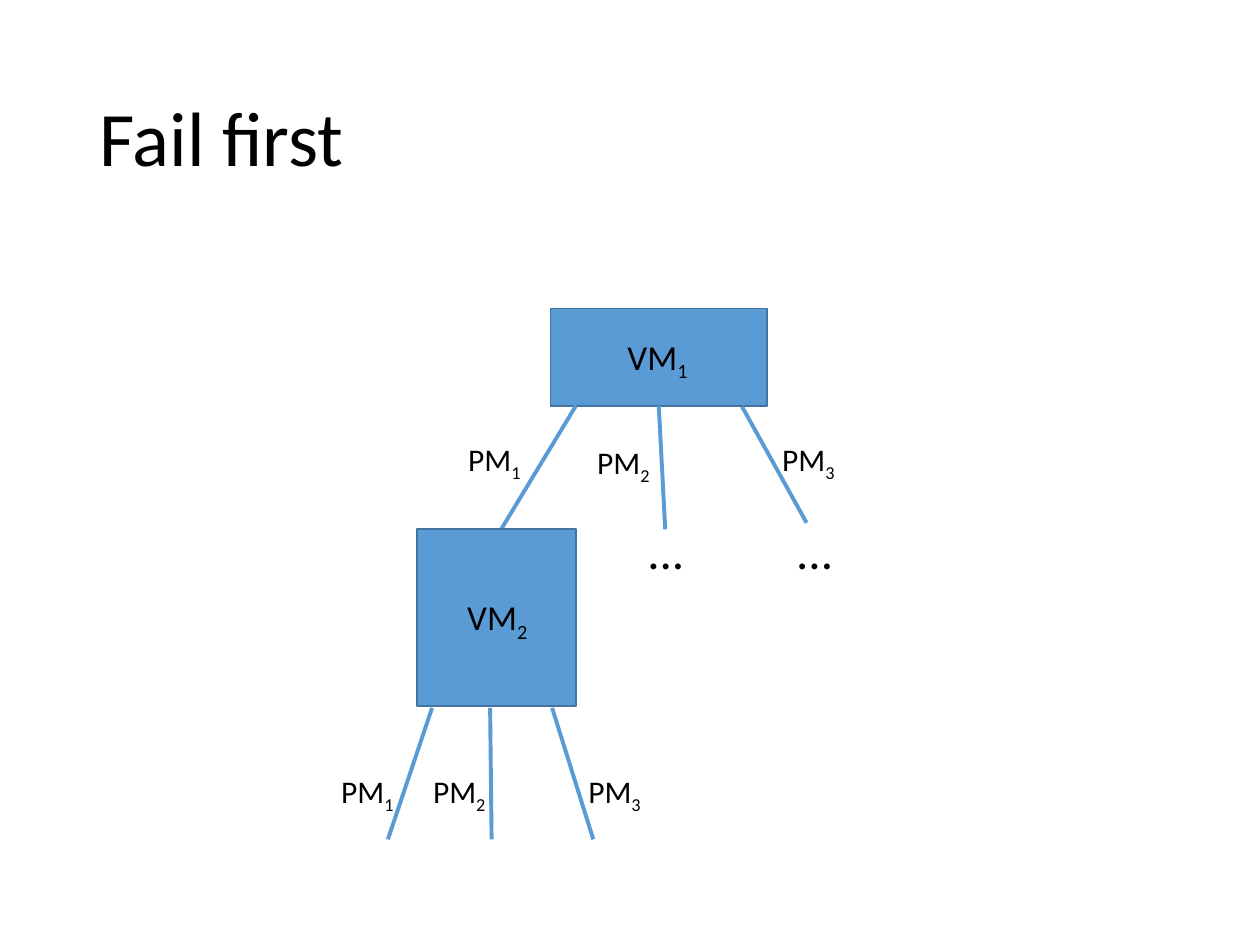
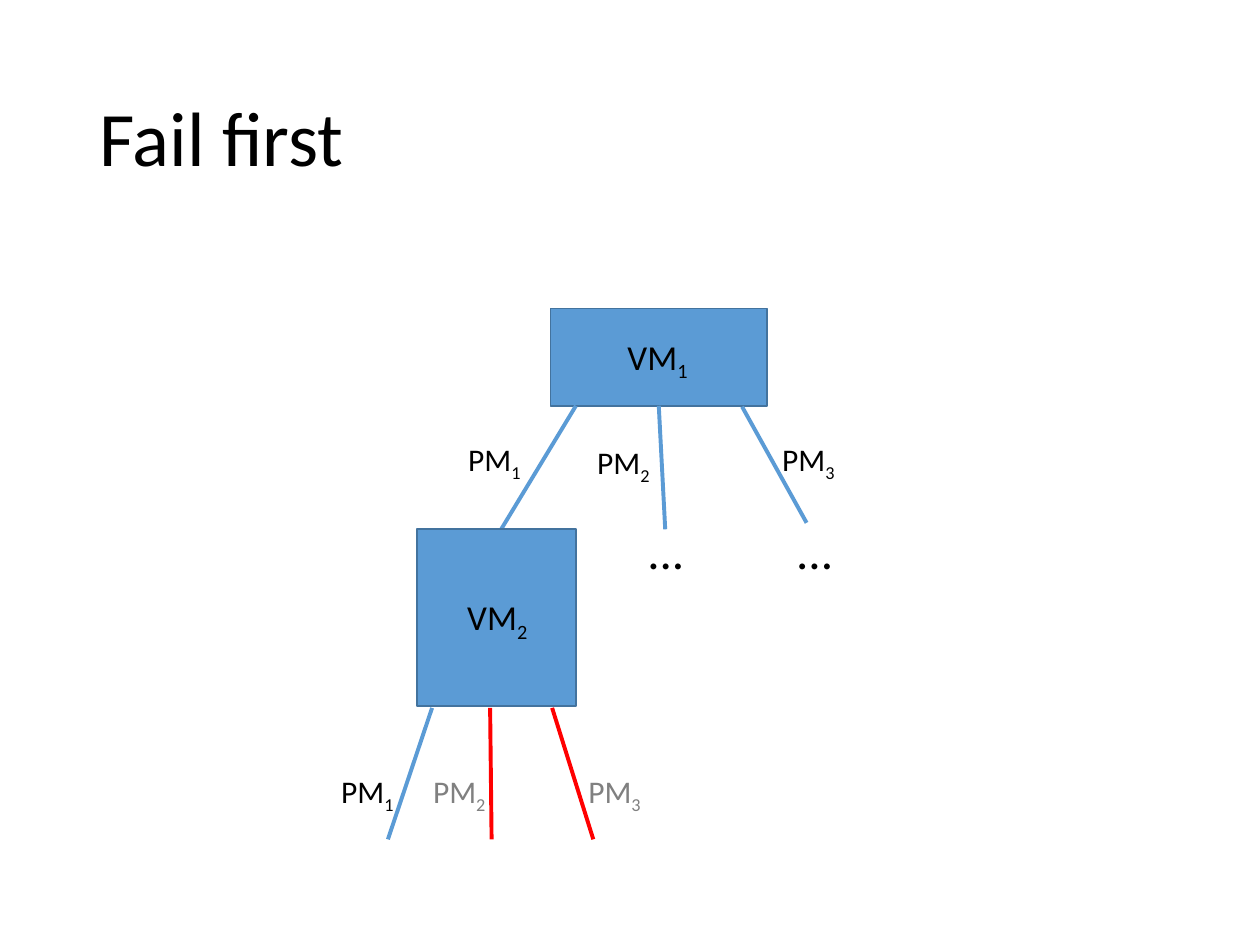
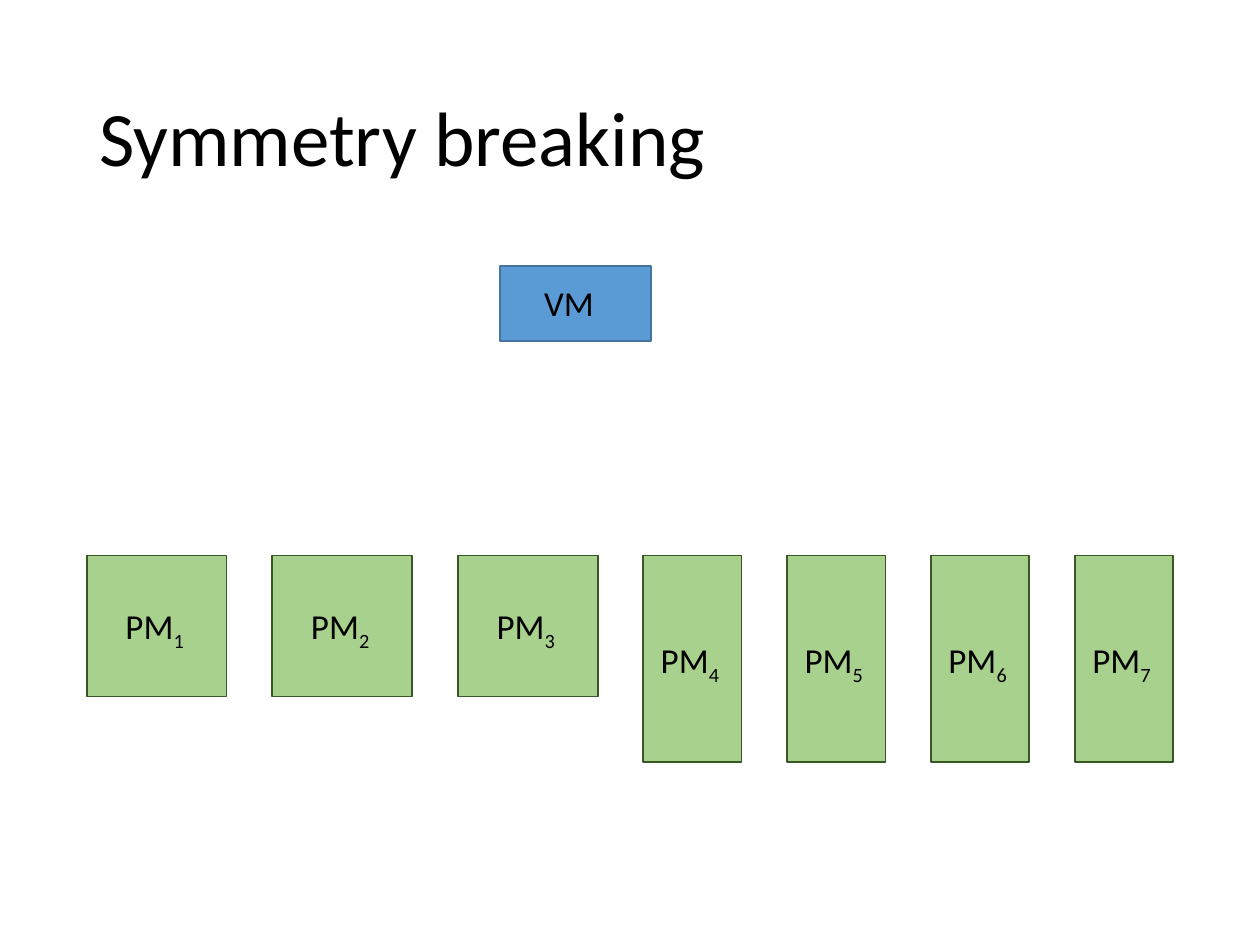
from dataclasses import dataclass

from pptx import Presentation
from pptx.dml.color import RGBColor
from pptx.enum.shapes import MSO_CONNECTOR, MSO_SHAPE
from pptx.enum.text import MSO_ANCHOR, MSO_AUTO_SIZE
from pptx.oxml.ns import qn
from pptx.slide import Slide
from pptx.util import Cm, Pt
from lxml.etree import SubElement


# Shared look
@dataclass(frozen=True)
class Theme:
    font: str = "Calibri"
    ink: str = "000000"
    mute: str = "808080"
    blue: str = "5B9BD5"
    navy: str = "43739E"
    green: str = "A9D18E"
    pine: str = "385723"
    red: str = "FF0000"
    title: int = 44
    dots: int = 28
    node: int = 20
    edge: int = 18
    rim: float = 1
    stroke: float = 2.25


THEME = Theme()


# Repeated elements, lengths in centimetres
@dataclass(frozen=True)
class Box:
    left: float
    top: float
    width: float
    height: float


@dataclass(frozen=True)
class Node:
    box: Box
    name: str
    sub: str
    shift: tuple[float, float]  # label offset from the box corner
    fill: str = THEME.blue
    line: str = THEME.navy


@dataclass(frozen=True)
class Branch:
    start: tuple[float, float]
    end: tuple[float, float]
    label: tuple[float, float]
    sub: str


def add_text(slide: Slide, box: Box, text: str, size: int,
             sub: str = "", color: str = THEME.ink):
    shape = slide.shapes.add_textbox(
        Cm(box.left), Cm(box.top), Cm(box.width), Cm(box.height))
    frame = shape.text_frame
    frame.text = text
    frame.word_wrap = True
    frame.auto_size = MSO_AUTO_SIZE.SHAPE_TO_FIT_TEXT
    para = frame.paragraphs[0]
    if sub:
        low = para.add_run()
        low.text = sub
        low.font._element.set("baseline", "-25000")
    for run in para.runs:
        run.font.name = THEME.font
        run.font.size = Pt(size)
        run.font.color.rgb = RGBColor.from_string(color)
    return frame


def add_title(slide: Slide, text: str) -> None:
    frame = add_text(slide, Box(1.75, 1.02, 21.89, 3.68), text, THEME.title)
    frame.auto_size = MSO_AUTO_SIZE.NONE
    frame.vertical_anchor = MSO_ANCHOR.MIDDLE
    frame.paragraphs[0].line_spacing = 0.9


def add_node(slide: Slide, node: Node) -> None:
    box = node.box
    shape = slide.shapes.add_shape(
        MSO_SHAPE.RECTANGLE,
        Cm(box.left), Cm(box.top), Cm(box.width), Cm(box.height))
    shape.shadow.inherit = False
    shape.fill.solid()
    shape.fill.fore_color.rgb = RGBColor.from_string(node.fill)
    shape.line.color.rgb = RGBColor.from_string(node.line)
    shape.line.width = Pt(THEME.rim)
    right, down = node.shift
    spot = Box(box.left + right, box.top + down, 1.75, 1.12)
    frame = add_text(slide, spot, node.name, THEME.node, node.sub)
    frame.margin_right = 0


def add_branch(slide: Slide, branch: Branch, dead: bool = False) -> None:
    line = slide.shapes.add_connector(
        MSO_CONNECTOR.STRAIGHT,
        *(Cm(n) for n in branch.start + branch.end))
    line.line.color.rgb = RGBColor.from_string(
        THEME.red if dead else THEME.blue)
    line.line.width = Pt(THEME.stroke)
    SubElement(line._element.spPr, qn("a:effectLst"))
    add_text(slide, Box(*branch.label, 2.03, 1.02), "PM", THEME.edge,
             branch.sub, THEME.mute if dead else THEME.ink)


# Search tree
ROOT = Node(Box(11.1, 6.22, 4.37, 1.96), "VM", "1", (1.3, 0.41))
CHILD = Node(Box(8.41, 10.67, 3.2, 3.56), "VM", "2", (0.76, 1.22))
UPPER = [
    Branch((11.61, 8.18), (10.06, 10.74), (9.19, 8.74), "1"),
    Branch((13.28, 8.18), (13.41, 10.67), (11.79, 8.81), "2"),
    Branch((14.96, 8.2), (16.26, 10.54), (15.52, 8.74), "3"),
]
LOWER = [
    Branch((8.71, 14.27), (7.82, 16.92), (6.63, 15.44), "1"),
    Branch((9.88, 14.27), (9.91, 16.92), (8.48, 15.44), "2"),
    Branch((11.13, 14.27), (11.96, 16.92), (11.61, 15.44), "3"),
]
DOTS = [Box(12.8, 10.36, 1.45, 1.45), Box(15.8, 10.36, 3.53, 1.45)]


def add_tree(slide: Slide, dead: str = "") -> None:
    """Draw the tree; lower branches named in dead are ruled out."""
    add_title(slide, "Fail first")
    add_node(slide, ROOT)
    for branch in UPPER:
        add_branch(slide, branch)
    for box in DOTS:
        add_text(slide, box, "...", THEME.dots)
    add_node(slide, CHILD)
    for branch in LOWER:
        add_branch(slide, branch, branch.sub in dead)


# Row of machines in two sizes, with equal gaps
def add_row(slide: Slide) -> None:
    wide = (2.82, 2.84, (0.53, 0.86))
    tall = (1.98, 4.17, (0.1, 1.55))
    left, gap = 1.75, 0.92
    for num, (width, height, shift) in enumerate([wide] * 3 + [tall] * 4, 1):
        add_node(slide, Node(Box(left, 11.2, width, height), "PM", str(num),
                             shift, THEME.green, THEME.pine))
        left += width + gap


# Slides
deck = Presentation()
deck.slide_width, deck.slide_height = Cm(25.4), Cm(19.05)
blank = deck.slide_layouts[6]

add_tree(deck.slides.add_slide(blank))
add_tree(deck.slides.add_slide(blank), dead="23")

last = deck.slides.add_slide(blank)
add_title(last, "Symmetry breaking")
add_row(last)
add_node(last, Node(Box(10.08, 5.36, 3.05, 1.52), "VM", "", (0.64, 0.2)))

deck.save("out.pptx")
